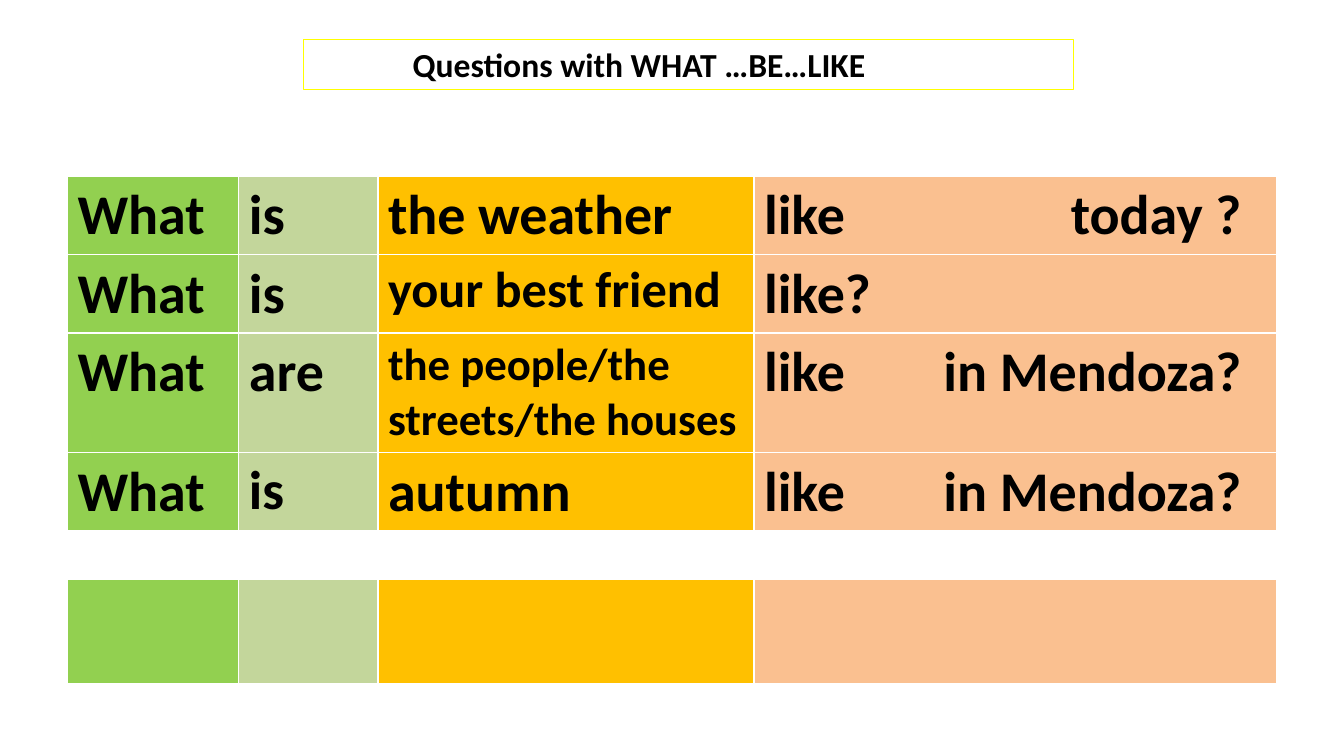
from lxml.etree import SubElement
from pptx import Presentation
from pptx.dml.color import RGBColor
from pptx.enum.text import MSO_ANCHOR as Anchor, MSO_AUTO_SIZE as AutoSize, PP_ALIGN as Align
from pptx.oxml.ns import qn
from pptx.util import Pt

COLUMNS = [(122.4, "92D050"), (99.4, "C3D69B"), (268.6, "FFC000"), (373.6, "FAC090")]
QUESTIONS = [
    [("What", 40), ("is", 40), ("the weather", 40), ("like\ttoday ?", 40)],
    [("What", 40), ("is", 40), ("your best friend", 36), ("like?", 40)],
    [("What", 40), ("are", 40), ("the people/the streets/the houses", 32), ("like\tin Mendoza?", 40)],
    [("What", 40), ("is", 39), ("autumn", 40), ("like\tin Mendoza?", 40)],
]
BLANK_ROW = [[("", 18)] * len(COLUMNS)]


def color(value):
    return RGBColor.from_string(value)


class QuestionPage:
    font_name = "Calibri"
    text_color = "000000"
    ending_tab = 341

    def __init__(self, deck):
        self.page = deck.slides.add_slide(deck.slide_layouts[5])

    def set_text(self, para, text, size):
        para.text = text
        para.font.name = self.font_name
        para.font.size = Pt(size)
        para.font.bold = True
        para.font.color.rgb = color(self.text_color)
        if "\t" in text:
            properties = para._p.get_or_add_pPr()
            tabs = SubElement(properties, qn("a:tabLst"))
            SubElement(tabs, qn("a:tab"), pos=str(Pt(self.ending_tab)), algn="r")
            properties.find(qn("a:defRPr")).addprevious(tabs)

    def title(self, text, left, top, width, height, indent):
        box = self.page.shapes.title
        box.left, box.top, box.width, box.height = map(Pt, (left, top, width, height))
        box.line.color.rgb = color("FFFF00")
        box.line.width = Pt(0.75)
        frame = box.text_frame
        frame.auto_size = AutoSize.NONE
        frame.vertical_anchor = Anchor.MIDDLE
        frame.margin_left = Pt(indent)
        para = frame.paragraphs[0]
        para.alignment = Align.LEFT
        self.set_text(para, text, 24)

    def table(self, rows, heights, left, top):
        width = sum(column_width for column_width, fill in COLUMNS)
        frame = self.page.shapes.add_table(
            len(rows), len(COLUMNS), Pt(left), Pt(top), Pt(width), Pt(sum(heights)))
        table = frame.table
        table.first_row = False
        table.horz_banding = False
        for row, height in zip(table.rows, heights):
            row.height = Pt(height)
        for index, (column_width, fill) in enumerate(COLUMNS):
            table.columns[index].width = Pt(column_width)
            for number, entries in enumerate(rows):
                cell = table.cell(number, index)
                cell.fill.solid()
                cell.fill.fore_color.rgb = color(fill)
                self.set_text(cell.text_frame.paragraphs[0], *entries[index])


def main():
    deck = Presentation()
    deck.slide_width, deck.slide_height = Pt(960), Pt(540)
    page = QuestionPage(deck)
    page.title("Questions with WHAT …BE…LIKE", 216.7, 28.1, 550, 36, 78)
    page.table(QUESTIONS, [55.5, 55.5, 85, 55.5], 48.2, 126)
    page.table(BLANK_ROW, [74.2], 48.2, 414)
    deck.save("out.pptx")


if __name__ == "__main__":
    main()
